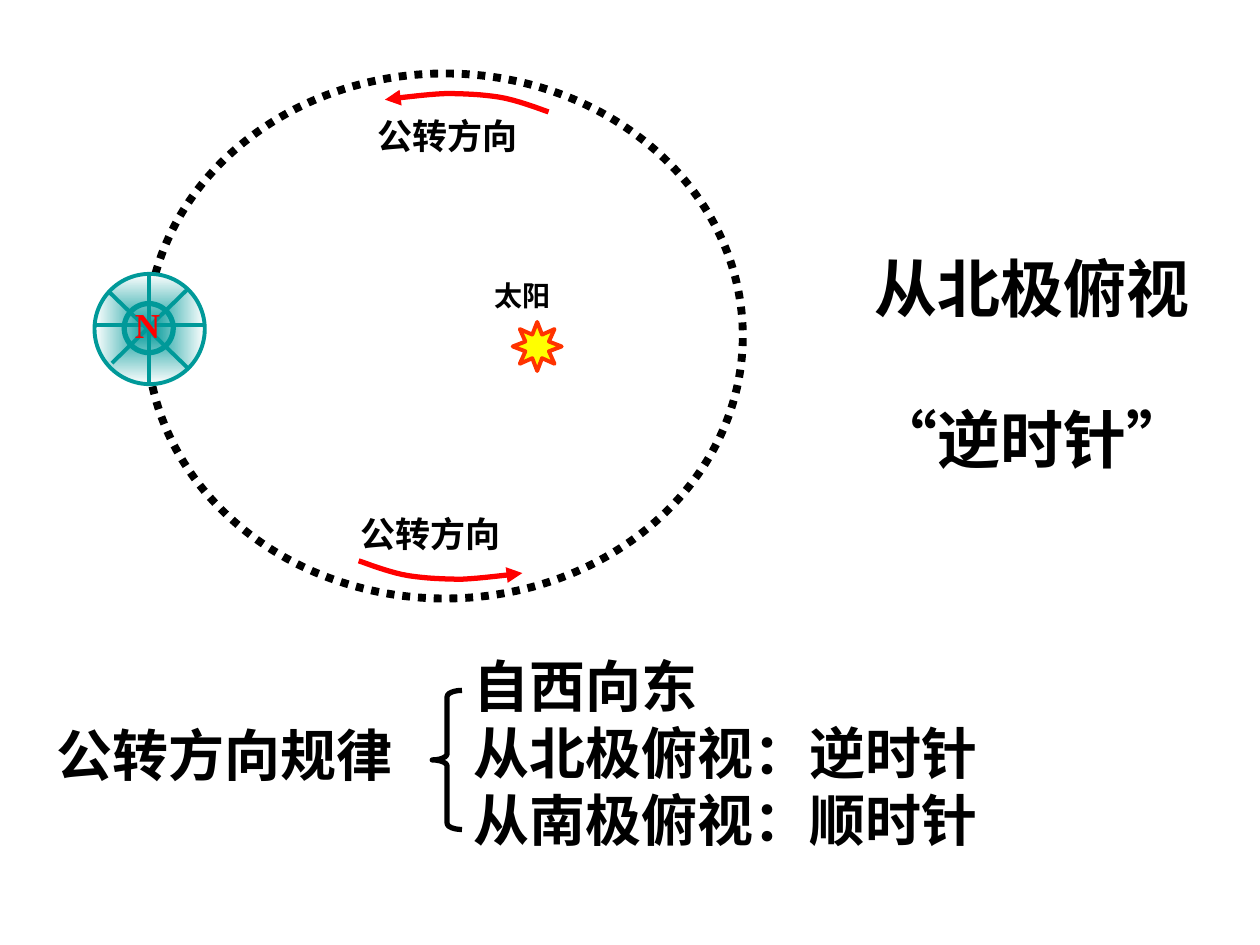
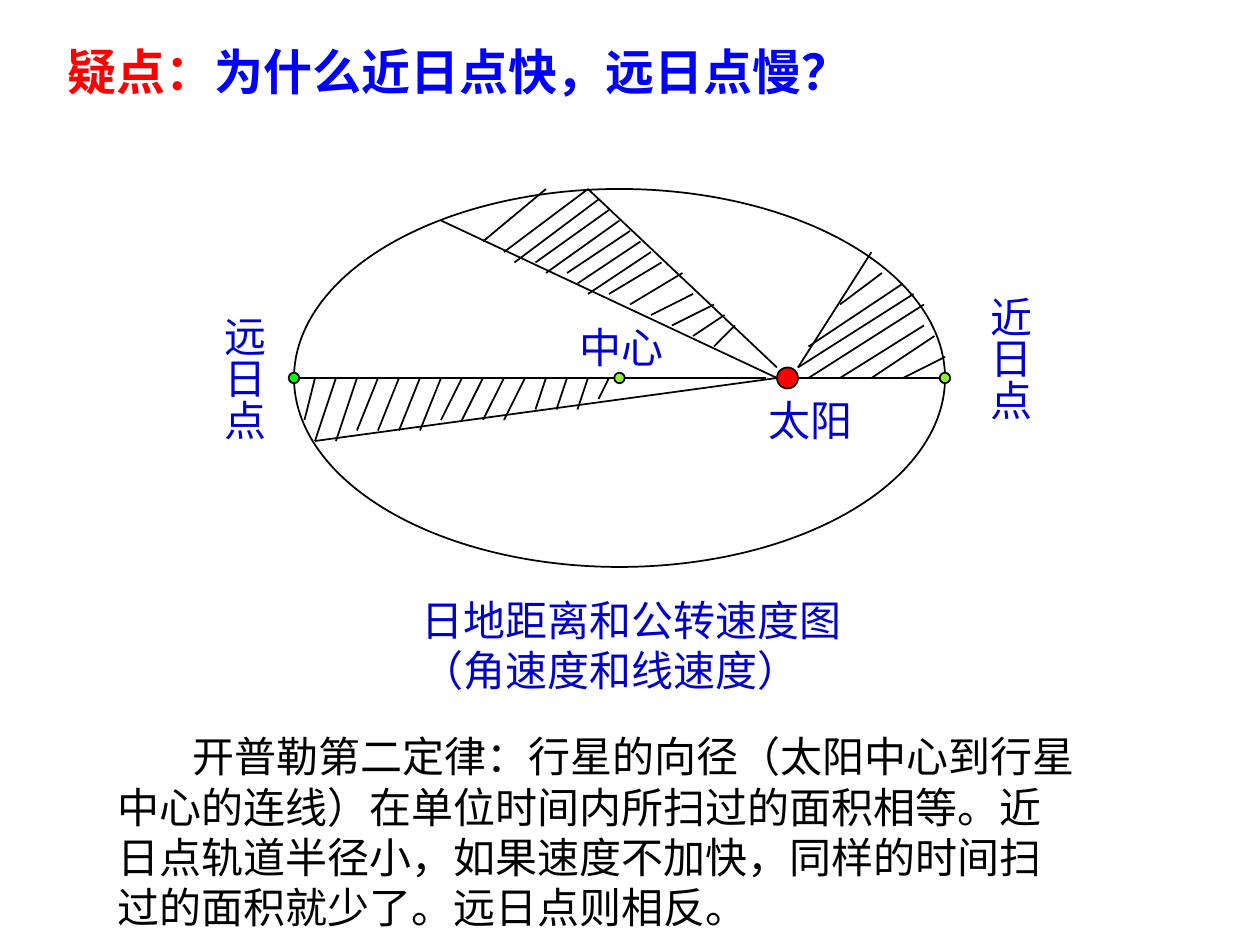
"""Build two slides on the direction and the speed of the Earth's revolution."""
import pptx
import pptx.dml.color
import pptx.enum.dml
import pptx.enum.shapes
import pptx.enum.text
import pptx.oxml
import pptx.oxml.ns
import pptx.util

Pt = pptx.util.Pt
SHAPES = pptx.enum.shapes.MSO_SHAPE
CENTER = pptx.enum.text.PP_ALIGN.CENTER

COLORS = {
    "black": "000000", "white": "FFFFFF", "red": "FF0000", "blue": "0000FF",
    "label": "0000CC", "teal": "009999", "sun": "FFFF00", "flame": "FF3300",
    "aphelion": "00FF00", "lime": "8FF335",
}
SERIF, SANS = "Times New Roman", "Arial"
GRID = 6

APHELION_HATCH = ([(1, 4)] + [(2, 6)] * 2 + [(2, 5)] * 4 + [(2, 4)] * 4
                  + [(1, 3)] * 3 + [(1, 2)])
SECTOR_EDGES = [
    (48, 17, 55, 6), (48, 18, 62, 18), (46, 17, 28, 0),
    (46, 18, 14, 3), (45, 18, 0, 18), (46, 18, 2, 24),
]
UPPER_HATCH = [
    (24, 0, 18, 5), (28, 0, 20, 6), (29, 1, 21, 7), (30, 2, 23, 7),
    (31, 3, 24, 8), (32, 4, 26, 8), (33, 5, 27, 9), (34, 6, 28, 10),
    (35, 7, 30, 10), (37, 8, 32, 11), (38, 10, 34, 12), (40, 11, 36, 13),
    (41, 12, 38, 14), (42, 13, 40, 15),
]
PERIHELION_HATCH = [
    (56, 8, 52, 11), (58, 9, 49, 15), (59, 10, 48, 17), (60, 11, 49, 18),
    (60, 13, 52, 18), (61, 14, 55, 18), (62, 16, 58, 18),
]
ARROW_CURVES = [
    [(0, 0), (4.5, 1.5), (18.5, 7), (28.5, 8.5)],
    [(28.5, 8.5), (38, 10), (49, 10.5), (59, 10.5)],
    [(59, 10.5), (70, 10), (86, 8), (93.5, 7)],
]


def rgb(name):
    """Return a named colour."""
    return pptx.dml.color.RGBColor.from_string(COLORS[name])


def format_run(run, size, color, bold, font=SERIF):
    """Set the font of one run."""
    run.font.size, run.font.bold, run.font.name = Pt(size), bold, font
    run.font.color.rgb = rgb(color)


def add_runs(paragraph, parts, size, bold=True):
    """Fill a paragraph with (text, colour, font) parts."""
    for text, color, font in parts:
        run = paragraph.add_run()
        run.text = text
        format_run(run, size, color, bold, font)


def add_text(slide, box, text, size, color="black", bold=True, wrap=True):
    """Add a text box and return its frame."""
    frame = slide.shapes.add_textbox(*map(Pt, box)).text_frame
    frame.word_wrap = wrap
    frame.text = text
    for paragraph in frame.paragraphs:
        for run in paragraph.runs:
            format_run(run, size, color, bold)
    return frame


def style_shape(shape, fill, line, width):
    """Give a shape its fill and outline without a shadow."""
    shape.shadow.inherit = False
    if fill:
        shape.fill.solid()
        shape.fill.fore_color.rgb = rgb(fill)
    else:
        shape.fill.background()
    shape.line.color.rgb = rgb(line)
    shape.line.width = Pt(width)
    return shape


def add_shape(slide, kind, box, fill=None, line="black", width=1):
    """Add a styled preset shape."""
    shape = slide.shapes.add_shape(kind, *map(Pt, box))
    return style_shape(shape, fill, line, width)


def add_dot(slide, x, y, radius, fill=None, line="black", width=1):
    """Add a circle around a centre point."""
    box = (x - radius, y - radius, 2 * radius, 2 * radius)
    return add_shape(slide, SHAPES.OVAL, box, fill, line, width)


def add_line(slide, ends, color="black", width=1):
    """Add a straight line without a shadow."""
    straight = pptx.enum.shapes.MSO_CONNECTOR.STRAIGHT
    line = slide.shapes.add_connector(straight, *map(Pt, ends))
    line.line.color.rgb = rgb(color)
    line.line.width = Pt(width)
    properties = line.element.spPr
    properties.append(pptx.oxml.ns.qn("a:effectLst") and pptx.oxml.parse_xml(
        "<a:effectLst %s/>" % pptx.oxml.ns.nsdecls("a")))


def curve_point(curve, t):
    """Return the point of a cubic curve at t."""
    weights = ((1 - t) ** 3, 3 * t * (1 - t) ** 2, 3 * t * t * (1 - t), t ** 3)
    return [sum(w * point[axis] for w, point in zip(weights, curve))
            for axis in (0, 1)]


def add_direction_arrow(slide, x, y, turn):
    """Add a bent arrow from a start point; turn -1 rotates it by half."""
    points = [curve_point(curve, step / 8)
              for curve in ARROW_CURVES for step in range(1, 9)]
    builder = slide.shapes.build_freeform(Pt(x), Pt(y))
    builder.add_line_segments(
        [(Pt(x + turn * dx), Pt(y + turn * dy)) for dx, dy in points], close=False)
    arrow = style_shape(builder.convert_to_shape(), None, "red", 3)
    arrow.line._get_or_add_ln().append(pptx.oxml.parse_xml(
        '<a:tailEnd %s type="triangle"/>' % pptx.oxml.ns.nsdecls("a")))


def add_earth(slide, left, top):
    """Draw the Earth seen from above the North Pole."""
    globe = add_shape(slide, SHAPES.OVAL, (left, top, 63, 63), None, "teal", 2.25)
    globe.fill.gradient()
    for stop, color in zip(globe.fill.gradient_stops, ("teal", "white")):
        stop.color.rgb = rgb(color)
    gradient = globe.element.spPr.find(pptx.oxml.ns.qn("a:gradFill"))
    gradient.remove(gradient.find(pptx.oxml.ns.qn("a:lin")))
    gradient.append(pptx.oxml.parse_xml(
        '<a:path %s path="rect"><a:fillToRect l="50000" t="50000" r="50000" '
        'b="50000"/></a:path>' % pptx.oxml.ns.nsdecls("a")))
    meridians = [(1, 29, 63, 29), (31, 0, 31, 62), (10, 51, 53, 9), (8, 10, 53, 53.5)]
    for x1, y1, x2, y2 in meridians:
        add_line(slide, (left + x1, top + y1, left + x2, top + y2), "teal", 2.25)
    add_dot(slide, left + 31, top + 31, 14, None, "teal", 3)
    add_text(slide, (left + 16, top + 13.5, 29, 31.5), "N", 20, "red", wrap=False)


def add_revolution_orbit(slide, left, top):
    """Draw the dotted orbit with the sun, the Earth and the direction arrows."""
    orbit = add_shape(slide, SHAPES.OVAL, (left, top, 340.5, 300), width=4.5)
    orbit.line.dash_style = pptx.enum.dml.MSO_LINE.ROUND_DOT
    sun = add_shape(slide, SHAPES.STAR_8_POINT, (left + 209, top + 142, 28, 28),
                    "sun", "flame", 2.25)
    sun.adjustments[0] = 0.26
    add_text(slide, (left + 191.5, top + 113.5, 104, 27), "太阳", 16)
    for x, y, width in ((115, 247.5, 156), (124.5, 20, 117)):
        add_text(slide, (left + x, top + y, width, 31.5), "公转方向", 20)
    add_direction_arrow(slide, left + 121, top + 278.5, 1)
    add_direction_arrow(slide, left + 229.5, top + 22, -1)
    add_earth(slide, left - 30, top + 114.5)


def add_polar_view(slide, box):
    """State the direction seen from the North Pole."""
    frame = add_text(slide, box, "从北极俯视", 36)
    second = frame.add_paragraph()
    add_runs(second, [("“", "black", SANS), ("逆时针", "black", SERIF),
                      ("”", "black", SANS)], 36)
    second.space_before = Pt(43.2)
    for paragraph in frame.paragraphs:
        paragraph.alignment = CENTER


def add_direction_rules(slide, left, top):
    """List the rules of direction behind a brace."""
    add_text(slide, (left, top + 39.5, 232.5, 46), "公转方向规律", 32)
    brace = add_shape(slide, SHAPES.LEFT_BRACE, (left + 222, top + 26, 17, 79.5), width=3)
    brace.adjustments[0] = 0.21
    rules = "自西向东\n从北极俯视：逆时针\n从南极俯视：顺时针"
    add_text(slide, (left + 238.5, top, 498, 122.5), rules, 32)


def add_vertical_label(slide, box, text):
    """Add a label that runs from top to bottom."""
    frame = add_text(slide, box, text, 24, "label", False)
    frame.margin_left = frame.margin_right = Pt(3.6)
    frame.margin_top = frame.margin_bottom = Pt(7.2)
    frame._txBody.bodyPr.set("vert", "eaVert")


def add_swept_areas(slide, left, top):
    """Draw the elliptical orbit with its hatched sectors and labels."""
    add_shape(slide, SHAPES.OVAL, (left, top, 62 * GRID, 36 * GRID), "white")
    add_dot(slide, left + 47 * GRID, top + 18 * GRID, GRID, "red")
    aphelion = [(2 * i, 18, 2 * i - run, 18 + drop)
                for i, (run, drop) in enumerate(APHELION_HATCH, 1)]
    for x1, y1, x2, y2 in SECTOR_EDGES + aphelion + UPPER_HATCH + PERIHELION_HATCH:
        add_line(slide, (left + x1 * GRID, top + y1 * GRID,
                         left + x2 * GRID, top + y2 * GRID))
    for x, color in ((0, "aphelion"), (62, "lime"), (31, "lime")):
        add_dot(slide, left + x * GRID, top + 18 * GRID, GRID / 2, color)
    add_text(slide, (left + 264, top + 114, 66, 36), "太阳", 24, "label", False)
    add_text(slide, (left + 156, top + 72, 72, 36), "中心", 24, "label", False)
    add_vertical_label(slide, (left - 53.5, top + 65, 43, 120), "远日点")
    add_vertical_label(slide, (left + 384, top + 54, 43, 108), "近日点")
    add_text(slide, (left + 66, top + 228, 270, 65),
             "日地距离和公转速度图 （角速度和线速度）", 24, "label", False)


def add_title(slide, box):
    """Place the question in the title placeholder."""
    title = slide.shapes.title
    title.left, title.top, title.width, title.height = map(Pt, box)
    frame = title.text_frame
    frame.vertical_anchor = pptx.enum.text.MSO_ANCHOR.TOP
    frame.auto_size = pptx.enum.text.MSO_AUTO_SIZE.NONE
    paragraph = frame.paragraphs[0]
    paragraph.alignment = pptx.enum.text.PP_ALIGN.LEFT
    add_runs(paragraph, [("疑点：", "red", SANS),
                         ("为什么近日点快，远日点慢？", "blue", SERIF)], 28)


def add_kepler_law(slide, box):
    """Explain the law with an indented first line."""
    text = ("开普勒第二定律：行星的向径（太阳中心到行星中心的连线）在单位时间内所扫过的"
            "面积相等。近日点轨道半径小，如果速度不加快，同样的时间扫过的面积就少了。"
            "远日点则相反。")
    paragraph = add_text(slide, box, text, 24, bold=False).paragraphs[0]
    properties = paragraph._p.get_or_add_pPr()
    properties.set("marL", "0")
    properties.set("indent", str(Pt(43)))


def main():
    """Build and save both slides."""
    presentation = pptx.Presentation()
    presentation.slide_width, presentation.slide_height = Pt(720), Pt(540)

    direction = presentation.slides.add_slide(presentation.slide_layouts[6])
    add_direction_rules(direction, 25, 368.5)
    add_revolution_orbit(direction, 84, 42)
    add_polar_view(direction, (391.5, 139, 396, 137))

    speed = presentation.slides.add_slide(presentation.slide_layouts[5])
    add_title(speed, (31.5, 20, 480, 41))
    add_swept_areas(speed, 168, 108)
    add_kepler_law(speed, (60, 414, 564, 122.5))

    presentation.save("out.pptx")


if __name__ == "__main__":
    main()
